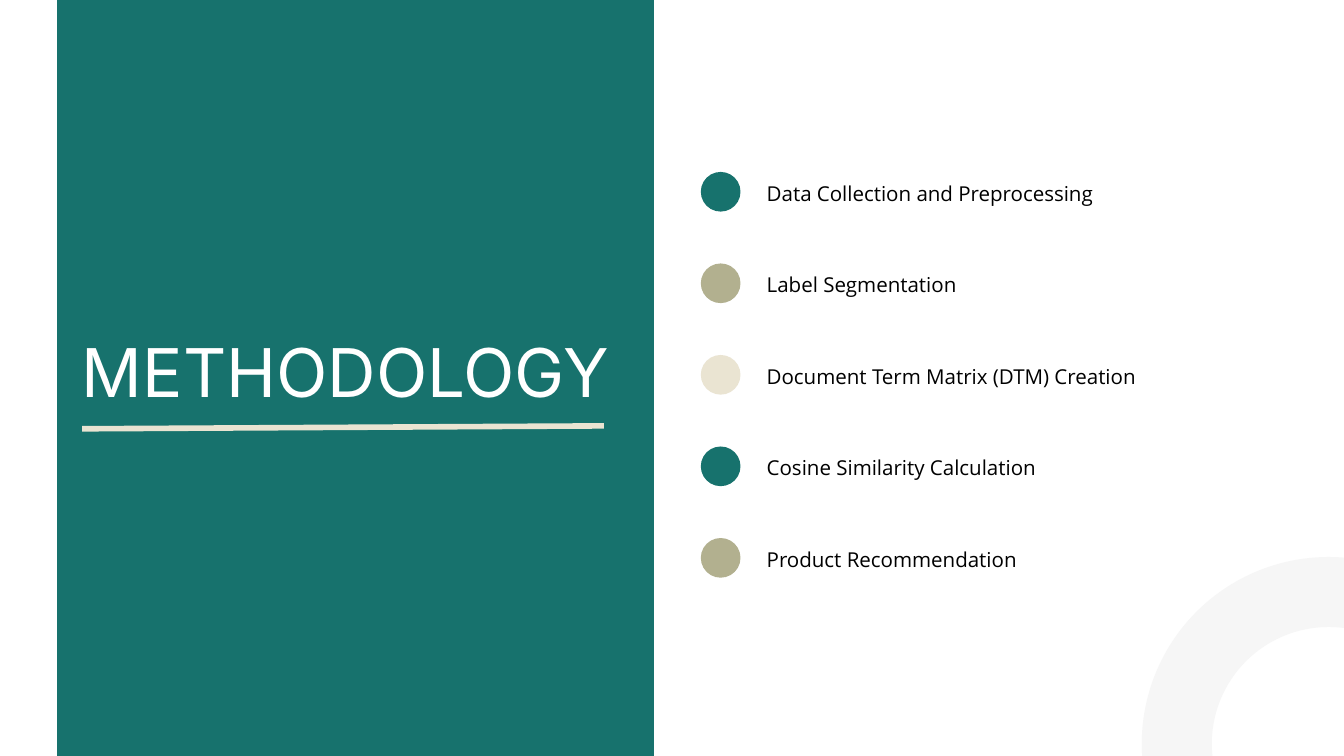
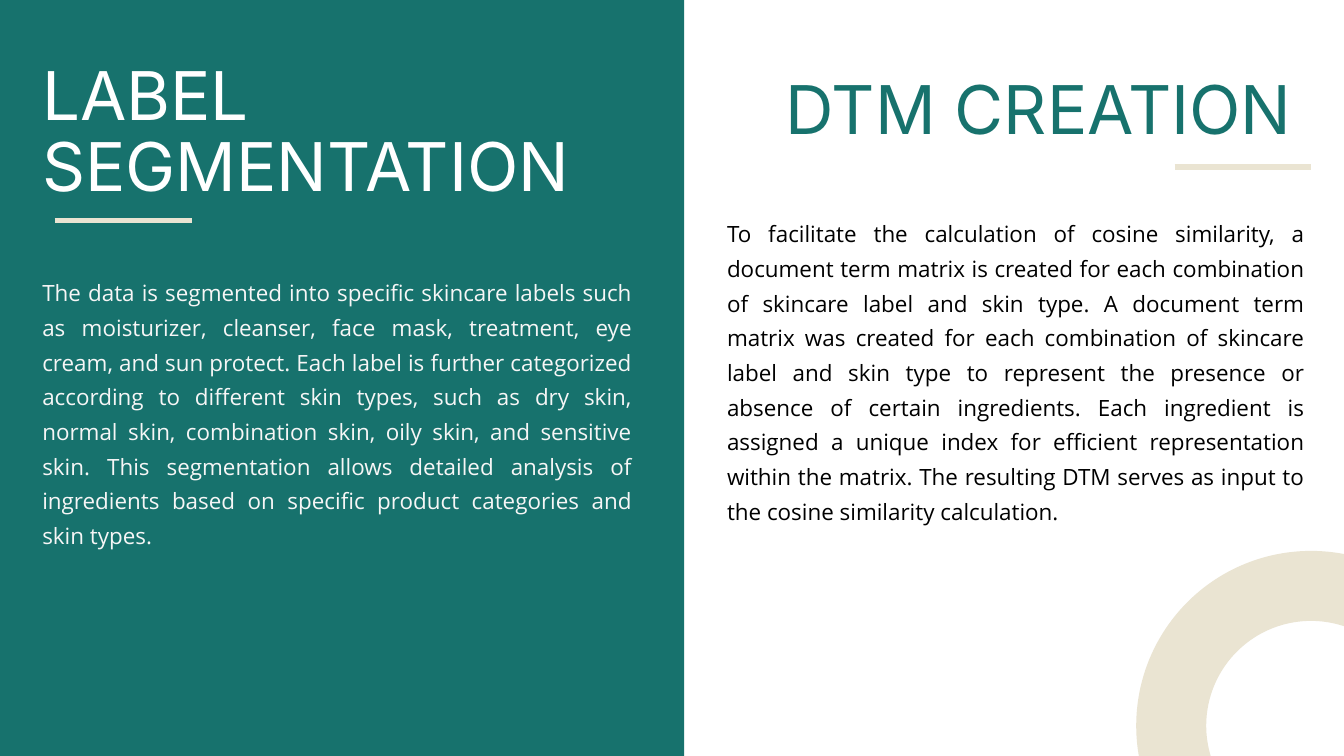
from dataclasses import dataclass

from lxml import etree
from pptx import Presentation
from pptx.dml.color import RGBColor
from pptx.enum.shapes import MSO_CONNECTOR, MSO_SHAPE
from pptx.enum.text import PP_ALIGN
from pptx.oxml.ns import qn
from pptx.util import Cm, Pt

STRAIGHT = MSO_CONNECTOR.STRAIGHT
RECTANGLE = MSO_SHAPE.RECTANGLE
OVAL = MSO_SHAPE.OVAL
LEFT = PP_ALIGN.LEFT
JUSTIFY = PP_ALIGN.JUSTIFY

SLIDE_WIDTH, SLIDE_HEIGHT = 50.8, 28.58
BLANK_LAYOUT = 6

STEPS = [
    "Data Collection and Preprocessing",
    "Label Segmentation",
    "Document Term Matrix (DTM) Creation",
    "Cosine Similarity Calculation",
    "Product Recommendation",
]
SEGMENTATION = (
    "The data is segmented into specific skincare labels such as moisturizer, "
    "cleanser, face mask, treatment, eye cream, and sun protect. Each label is "
    "further categorized according to different skin types, such as dry skin, "
    "normal skin, combination skin, oily skin, and sensitive skin. This "
    "segmentation allows detailed analysis of ingredients based on specific "
    "product categories and skin types."
)
DTM_CREATION = (
    "To facilitate the calculation of cosine similarity, a document term matrix "
    "is created for each combination of skincare label and skin type. A document "
    "term matrix was created for each combination of skincare label and skin type "
    "to represent the presence or absence of certain ingredients. Each ingredient "
    "is assigned a unique index for efficient representation within the matrix. "
    "The resulting DTM serves as input to the cosine similarity calculation."
)


@dataclass(frozen=True)
class TextStyle:
    font: str
    size: float
    line_spacing: float
    alignment: PP_ALIGN


@dataclass(frozen=True)
class Theme:
    teal: RGBColor = RGBColor(0x17, 0x72, 0x6D)
    olive: RGBColor = RGBColor(0xB2, 0xB0, 0x8F)
    cream: RGBColor = RGBColor(0xEA, 0xE4, 0xD2)
    pale: RGBColor = RGBColor(0xF6, 0xF6, 0xF6)
    white: RGBColor = RGBColor(0xFF, 0xFF, 0xFF)
    black: RGBColor = RGBColor(0x00, 0x00, 0x00)
    title: TextStyle = TextStyle("Inter", 72, 75.6, LEFT)
    step: TextStyle = TextStyle("Open Sans", 22, 30.8, JUSTIFY)
    body: TextStyle = TextStyle("Open Sans", 24, 37.2, JUSTIFY)
    rule_width: float = 6
    ring_width: float = 75


THEME = Theme()


def add_filled(page, kind, left, top, width, height, color):
    shape = page.shapes.add_shape(kind, Cm(left), Cm(top), Cm(width), Cm(height))
    shape.shadow.inherit = False
    shape.fill.solid()
    shape.fill.fore_color.rgb = color
    shape.line.fill.background()


def add_band(page, left, width):
    add_filled(page, RECTANGLE, left, 0, width, SLIDE_HEIGHT, THEME.teal)


def add_ring(page, left, top, diameter, color):
    ring = page.shapes.add_shape(OVAL, Cm(left), Cm(top), Cm(diameter), Cm(diameter))
    ring.shadow.inherit = False
    ring.fill.background()
    ring.line.color.rgb = color
    ring.line.width = Pt(THEME.ring_width)


def add_rule(page, start_x, start_y, end_x, end_y):
    rule = page.shapes.add_connector(
        STRAIGHT, Cm(start_x), Cm(start_y), Cm(end_x), Cm(end_y)
    )
    rule.line.color.rgb = THEME.cream
    rule.line.width = Pt(THEME.rule_width)
    etree.SubElement(rule._element.spPr, qn("a:effectLst"))


def add_text(page, text, left, top, width, height, style, color):
    box = page.shapes.add_textbox(Cm(left), Cm(top), Cm(width), Cm(height))
    frame = box.text_frame
    frame.word_wrap = True
    frame.margin_left = frame.margin_right = 0
    frame.margin_top = frame.margin_bottom = 0
    para = frame.paragraphs[0]
    para.text = text
    para.alignment = style.alignment
    para.line_spacing = Pt(style.line_spacing)
    para.font.name = style.font
    para.font.size = Pt(style.size)
    para.font.color.rgb = color


def add_steps(page):
    """List the steps at an equal pitch, with dots cycling through the colours."""
    first_top, pitch, diameter = 6.5, 3.46, 1.5
    dot_colors = [THEME.teal, THEME.olive, THEME.cream]
    for index, step in enumerate(STEPS):
        top = first_top + index * pitch
        color = dot_colors[index % len(dot_colors)]
        add_filled(page, OVAL, 26.49, top, diameter, diameter, color)
        add_text(page, step, 28.98, top + 0.18, 18.95, 1.04, THEME.step, THEME.black)


def build_methodology(page):
    add_band(page, 2.16, 22.56)
    add_rule(page, 3.1, 16.21, 22.83, 16.1)
    add_text(page, "METHODOLOGY", 3.1, 12.88, 21.62, 2.77, THEME.title, THEME.white)
    add_ring(page, 44.48, 22.38, 11.48, THEME.pale)
    add_steps(page)


def build_segmentation_and_dtm(page):
    add_band(page, 0, 25.86)
    add_rule(page, 2.06, 8.33, 7.24, 8.33)
    add_text(page, "LABEL SEGMENTATION", 1.6, 2.41, 22.63, 5.33,
             THEME.title, THEME.white)
    add_text(page, SEGMENTATION, 1.6, 10.26, 22.28, 10.29, THEME.body, THEME.pale)

    add_ring(page, 44.27, 22.15, 10.57, THEME.cream)
    add_rule(page, 44.4, 6.32, 49.56, 6.32)
    add_text(page, "DTM CREATION", 29.69, 2.92, 20.5, 2.77, THEME.title, THEME.teal)
    add_text(page, DTM_CREATION, 27.48, 8.03, 21.82, 11.58, THEME.body, THEME.black)


def main():
    deck = Presentation()
    deck.slide_width = Cm(SLIDE_WIDTH)
    deck.slide_height = Cm(SLIDE_HEIGHT)
    for build in (build_methodology, build_segmentation_and_dtm):
        build(deck.slides.add_slide(deck.slide_layouts[BLANK_LAYOUT]))
    deck.save("out.pptx")


if __name__ == "__main__":
    main()
